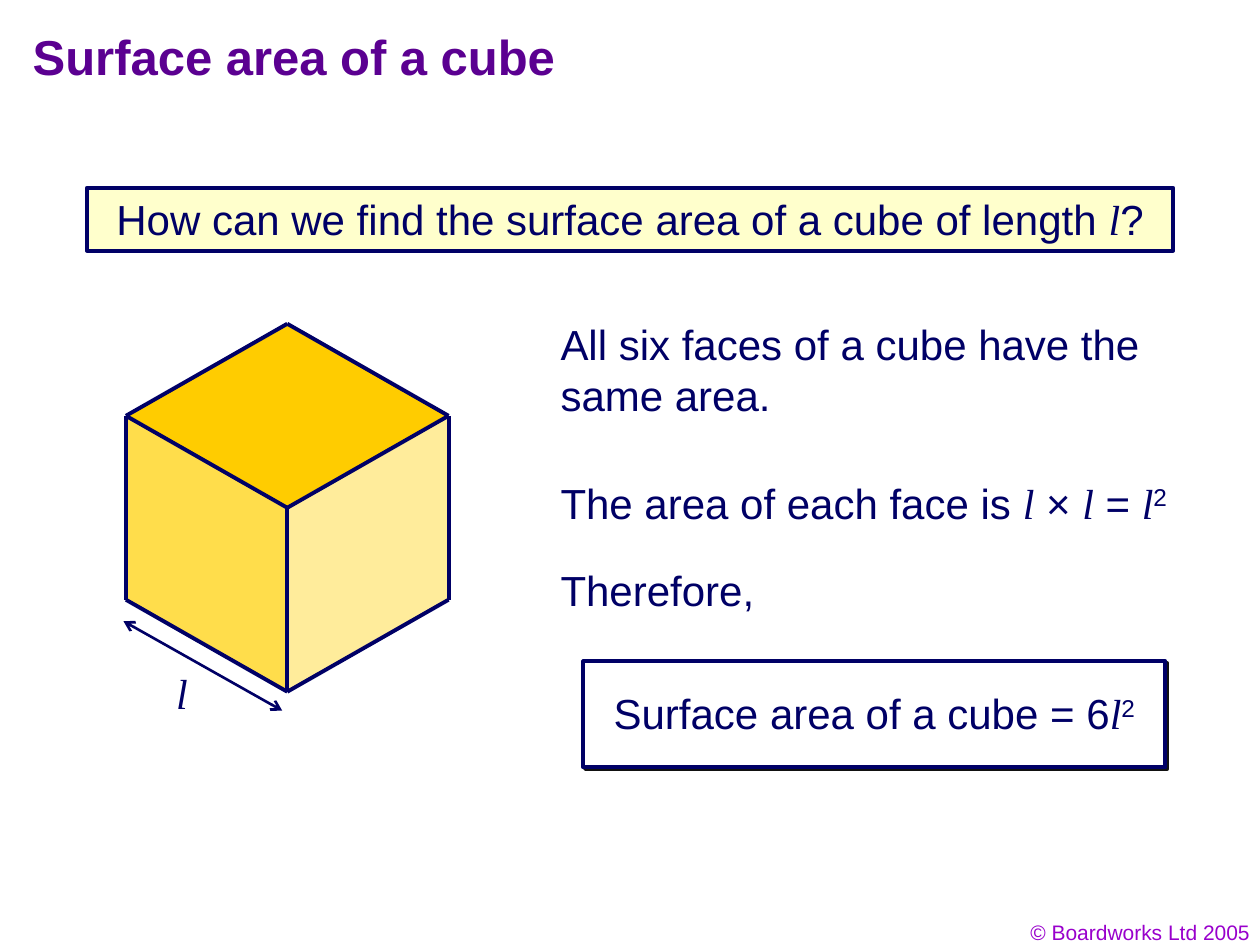
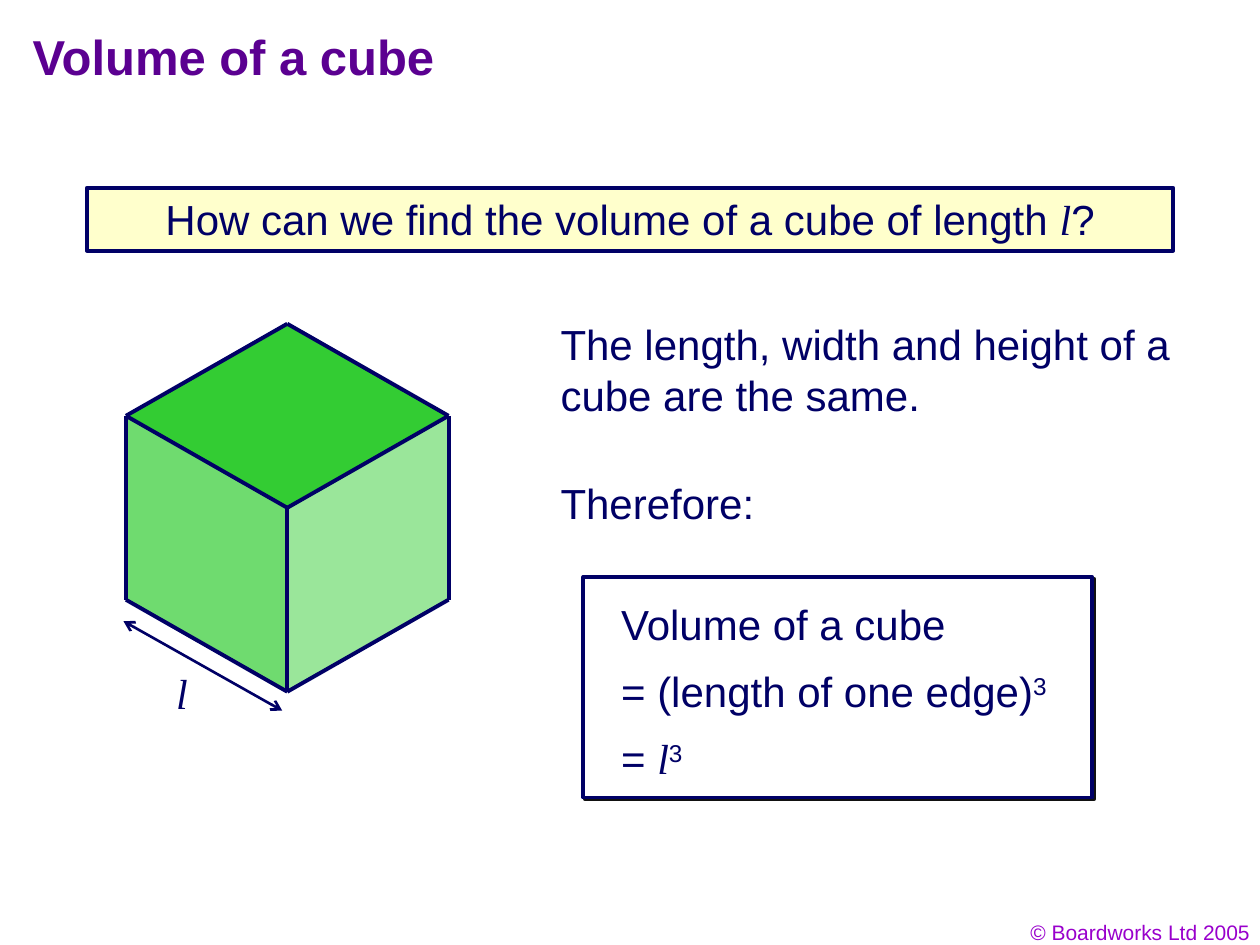
from pptx import Presentation, util as u
from pptx.dml.color import RGBColor
from pptx.enum import shapes, text
from pptx.oxml import parse_xml
from pptx.oxml.ns import nsdecls, qn

# Content: "|" parts a line into runs; a lone "l" is the length, "^" raises a run
SLIDES = [
    dict(title="Surface area of a cube",
         ask="How can we find the surface area of a cube of length |l|?",
         faces=("FFCC00", "FFDD4B", "FFEC9B"),
         notes=[(2.48, "All six faces of a cube have the same area."),
                (3.74, "The area of each face is |l| × |l| = |l|^2"),
                (4.43, "Therefore,")],
         box=(4.63, 5.25, 4.62, 0.84), pad=(0.24, 0.21),
         answer=["Surface area of a cube = 6|l|^2"]),
    dict(title="Volume of a cube",
         ask="How can we find the volume of a cube of length |l|?",
         faces=("33CC33", "6FDB6F", "9AE69A"),
         notes=[(2.48, "The length, width and height of a cube are the same."),
                (3.74, "Therefore:")],
         box=(4.63, 4.58, 4.04, 1.75), pad=(0.3, 0.17),
         answer=["Volume of a cube", "= (length of one edge)|^3", "= |l|^3"]),
]
FOOT = "© Boardworks Ltd 2005"

# Shared look
NAVY, CREAM, WHITE = "000066", "FFFFCC", "FFFFFF"
BODY = dict(size=u.Pt(24), name="Arial")
HEAD = dict(size=u.Pt(28), name="Arial", bold=True)
SMALL = dict(size=u.Pt(12), name="Arial")
SIGN = dict(name="Times New Roman", italic=True)
LEFT, MID, RIGHT = text.PP_ALIGN.LEFT, text.PP_ALIGN.CENTER, text.PP_ALIGN.RIGHT

# Cube: corners follow from the middle corner, half width, rise and edge
X, Y, HALF, RISE, EDGE = 2.28, 4.03, 1.28, 0.73, 1.46
CORNER = dict(mid=(X, Y), top=(X, Y - 2 * RISE), base=(X, Y + EDGE),
              nw=(X - HALF, Y - RISE), ne=(X + HALF, Y - RISE),
              sw=(X - HALF, Y - RISE + EDGE), se=(X + HALF, Y - RISE + EDGE))
FACES = ["top nw mid ne", "nw sw base mid", "ne se base mid"]
EDGES = ["nw sw", "nw top", "mid base", "ne se", "base se",
         "mid ne", "ne top", "mid nw", "base sw"]


def rgb(code):
    return RGBColor.from_string(code)


def style(font, form, color):
    for key, val in form.items():
        setattr(font, key, val)
    font.color.rgb = rgb(color)


def write(shape, lines, form=BODY, color=NAVY, align=LEFT, pad=(0.1, 0.05)):
    frame = shape.text_frame
    sides = dict(margin_left=pad[0], margin_top=pad[1],
                 margin_right=0.1, margin_bottom=0.05)
    for key, val in sides.items():
        setattr(frame, key, u.Inches(val))
    frame.word_wrap = True
    frame.auto_size = text.MSO_AUTO_SIZE.NONE
    frame.vertical_anchor = text.MSO_ANCHOR.TOP
    for i, line in enumerate(lines):
        para = frame.add_paragraph() if i else frame.paragraphs[0]
        para.alignment = align
        para.space_before = u.Pt(9.6 if i else 0)
        for part in line.split("|"):
            run = para.add_run()
            run.text = part.lstrip("^")
            style(run.font, {**form, **(SIGN if part == "l" else {})}, color)
            if part.startswith("^"):
                run.font._element.set("baseline", "30000")


def label(slide, at, line, **look):
    write(slide.shapes.add_textbox(*map(u.Inches, at)), [line], **look)


def panel(slide, at, fill):
    box = slide.shapes.add_shape(shapes.MSO_SHAPE.RECTANGLE, *map(u.Inches, at))
    box.shadow.inherit = False
    box.fill.solid()
    box.fill.fore_color.rgb = rgb(fill)
    box.line.color.rgb = rgb(NAVY)
    box.line.width = u.Pt(2.25)
    return box


def drop(box):
    """Give a panel a hard shadow to the lower right."""
    box._element.spPr.find(qn("a:effectLst")).append(parse_xml(
        f'<a:outerShdw {nsdecls("a")} dist="{u.Pt(1.4)}" dir="2700000" '
        'algn="ctr" rotWithShape="0"><a:srgbClr val="111111"/></a:outerShdw>'))


def rule(slide, start, end, width=2.25, arrows=False):
    line = slide.shapes.add_connector(shapes.MSO_CONNECTOR.STRAIGHT,
                                      *map(u.Inches, start + end))
    line.line.color.rgb = rgb(NAVY)
    line.line.width = u.Pt(width)
    for tag in ("headEnd", "tailEnd") if arrows else ():
        line.line._get_or_add_ln().append(
            parse_xml(f'<a:{tag} {nsdecls("a")} type="arrow"/>'))
    line._element.spPr.append(parse_xml(f'<a:effectLst {nsdecls("a")}/>'))


def cube(slide, fills):
    for names, fill in zip(FACES, fills):
        first, *rest = [tuple(map(u.Inches, CORNER[n])) for n in names.split()]
        path = slide.shapes.build_freeform(*first)
        path.add_line_segments(rest, close=True)
        face = path.convert_to_shape()
        face.shadow.inherit = False
        face.fill.solid()
        face.fill.fore_color.rgb = rgb(fill)
        face.line.fill.background()
    for names in EDGES:
        rule(slide, *(CORNER[n] for n in names.split()))
    # Length arrow beside the lower left edge
    rule(slide, (0.98, 4.93), (2.24, 5.64), 1.5, arrows=True)
    label(slide, (1.3, 5.25, 0.5, 0.5), "l")


def build(deck, data):
    slide = deck.slides.add_slide(deck.slide_layouts[5])
    # Title and footer
    title = slide.shapes.title
    for key, val in dict(left=0.16, top=0.16, width=7.2, height=0.69).items():
        setattr(title, key, u.Inches(val))
    write(title, [data["title"]], HEAD, "5B0091")
    label(slide, (7.69, 7.25, 2.33, 0.3), FOOT,
          form=SMALL, color="9900CC", align=RIGHT)
    # Question band
    write(panel(slide, (0.69, 1.49, 8.62, 0.5), CREAM), [data["ask"]], align=MID)
    # Cube and reasoning
    cube(slide, data["faces"])
    for top, line in data["notes"]:
        label(slide, (4.35, top, 5.22, 0.9 if top < 3 else 0.5), line)
    # Result
    box = panel(slide, data["box"], WHITE)
    drop(box)
    write(box, data["answer"], pad=data["pad"])


def main():
    deck = Presentation()
    deck.slide_width, deck.slide_height = u.Inches(10), u.Inches(7.5)
    for data in SLIDES:
        build(deck, data)
    deck.save("out.pptx")


if __name__ == "__main__":
    main()
